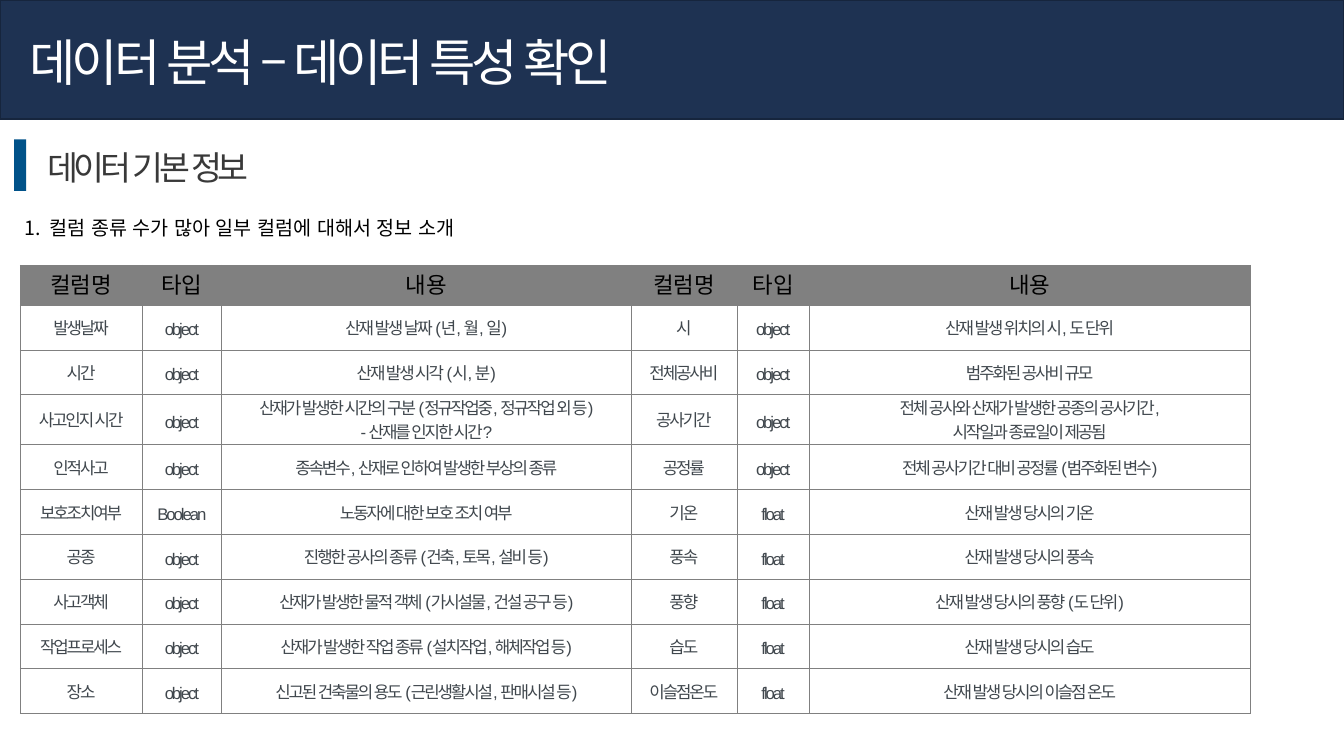
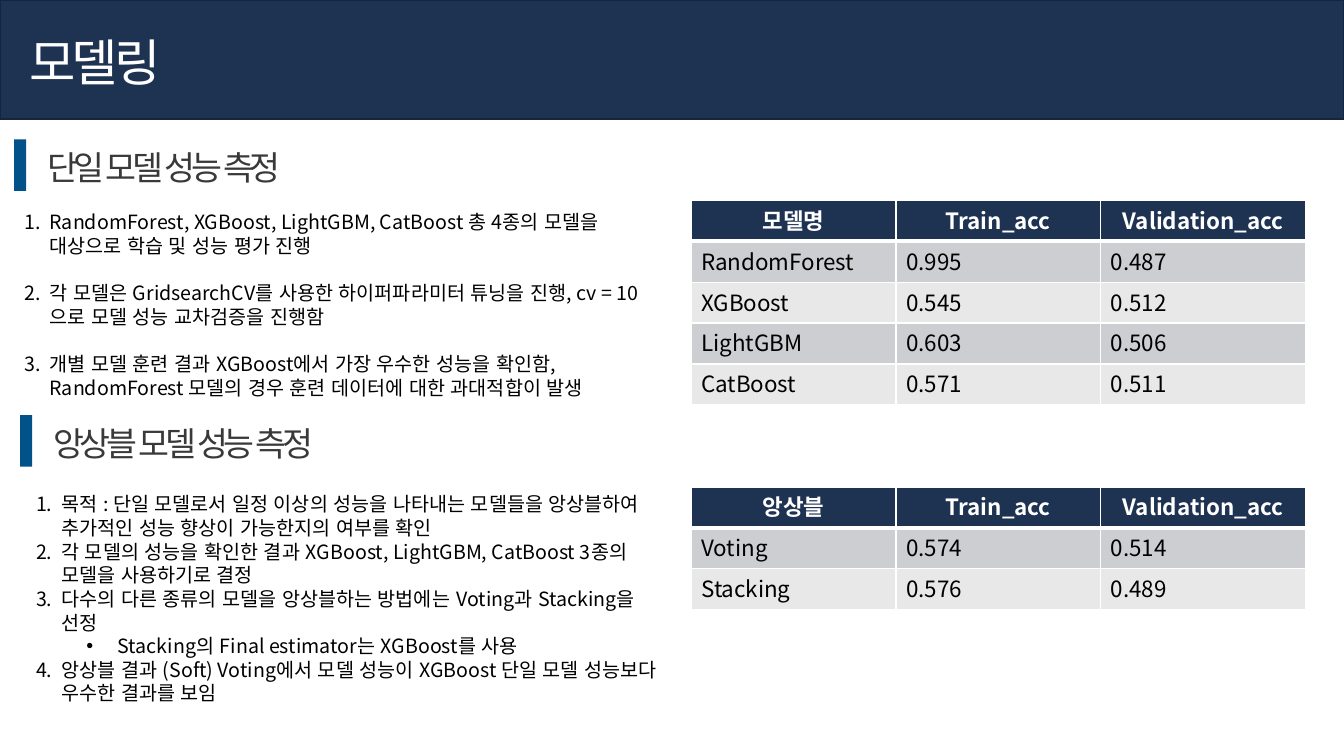
"""Build two slides on column information and model performance."""
from lxml import etree
from pptx import Presentation
from pptx.dml.color import RGBColor
from pptx.enum.lang import MSO_LANGUAGE_ID
from pptx.enum.shapes import MSO_SHAPE
from pptx.enum.text import MSO_ANCHOR, MSO_AUTO_SIZE, PP_ALIGN
from pptx.oxml.ns import qn
from pptx.util import Cm, Pt

RECTANGLE = MSO_SHAPE.RECTANGLE
TOP, MIDDLE = MSO_ANCHOR.TOP, MSO_ANCHOR.MIDDLE
LEFT, CENTER = PP_ALIGN.LEFT, PP_ALIGN.CENTER
NO_AUTOFIT = MSO_AUTO_SIZE.NONE
KOREAN = MSO_LANGUAGE_ID.KOREAN

NAVY, NAVY_EDGE, ACCENT = "1E3252", "16253D", "005289"
WHITE, BLACK, HEADING_GRAY = "FFFFFF", "000000", "393939"
TABLE_GRAY, CELL_TEXT = "808080", "40474D"
STRIPES = ["CDCED1", "E8E8E9"]
KOREAN_FONT, LATIN_FONT = "Noto Sans CJK KR", "Arial"

SLIDE_WIDTH, SLIDE_HEIGHT, BAND_HEIGHT = 33.87, 19.05, 3.0
COLUMN_WIDTHS = [3.07, 2.01, 10.31, 2.67, 1.83, 11.1]
HEADER_HEIGHT, ROW_HEIGHT, TWO_LINE_HEIGHT = 1.01, 1.13, 1.26
SCORE_COLUMN, SCORE_ROW, SCORE_LEFT = 5.16, 1.03, 17.42

COLUMN_ROWS = [
    ["컬럼명", "타입", "내용"] * 2,
    ["발생날짜", "object", "산재 발생 날짜 (년, 월, 일)",
     "시", "object", "산재 발생 위치의 시, 도 단위"],
    ["시간", "object", "산재 발생 시각 (시, 분)",
     "전체공사비", "object", "범주화된 공사비 규모"],
    ["사고인지 시간", "object",
     "산재가 발생한 시간의 구분 (정규작업중, 정규작업 외 등)\n- 산재를 인지한 시간?",
     "공사기간", "object",
     "전체 공사와 산재가 발생한 공종의 공사기간,\n시작일과 종료일이 제공됨"],
    ["인적사고", "object", "종속변수, 산재로 인하여 발생한 부상의 종류",
     "공정률", "object", "전체 공사기간 대비 공정률 (범주화된 변수)"],
    ["보호조치여부", "Boolean", "노동자에 대한 보호 조치 여부",
     "기온", "float", "산재 발생 당시의 기온"],
    ["공종", "object", "진행한 공사의 종류 (건축, 토목, 설비 등)",
     "풍속", "float", "산재 발생 당시의 풍속"],
    ["사고객체", "object", "산재가 발생한 물적 객체 (가시설물, 건설 공구 등)",
     "풍향", "float", "산재 발생 당시의 풍향 (도 단위)"],
    ["작업프로세스", "object", "산재가 발생한 작업 종류 (설치작업, 해체작업 등)",
     "습도", "float", "산재 발생 당시의 습도"],
    ["장소", "object", "신고된 건축물의 용도 (근린생활시설, 판매시설 등)",
     "이슬점온도", "float", "산재 발생 당시의 이슬점 온도"],
]
SCORE_HEADERS = ["Train_acc", "Validation_acc"]
SINGLE_ROWS = [
    ["모델명", *SCORE_HEADERS],
    ["RandomForest", "0.995", "0.487"],
    ["XGBoost", "0.545", "0.512"],
    ["LightGBM", "0.603", "0.506"],
    ["CatBoost", "0.571", "0.511"],
]
ENSEMBLE_ROWS = [
    ["앙상블", *SCORE_HEADERS],
    ["Voting", "0.574", "0.514"],
    ["Stacking", "0.576", "0.489"],
]
COLUMN_NOTES = [(0, "컬럼 종류 수가 많아 일부 컬럼에 대해서 정보 소개")]
SINGLE_NOTES = [
    (0, "RandomForest, XGBoost, LightGBM, CatBoost 총 4종의 모델을 대상으로 학습 및 성능 평가 진행"),
    (0, "각 모델은 GridsearchCV를 사용한 하이퍼파라미터 튜닝을 진행, cv = 10으로 모델 성능 교차검증을 진행함"),
    (0, "개별 모델 훈련 결과 XGBoost에서 가장 우수한 성능을 확인함, RandomForest 모델의 경우 훈련 데이터에 대한 과대적합이 발생"),
]
ENSEMBLE_NOTES = [
    (0, "목적 : 단일 모델로서 일정 이상의 성능을 나타내는 모델들을 앙상블하여 추가적인 성능 향상이 가능한지의 여부를 확인"),
    (0, "각 모델의 성능을 확인한 결과 XGBoost, LightGBM, CatBoost 3종의 모델을 사용하기로 결정"),
    (0, "다수의 다른 종류의 모델을 앙상블하는 방법에는 Voting과 Stacking을 선정"),
    (1, "Stacking의 Final estimator는 XGBoost를 사용"),
    (0, "앙상블 결과 (Soft) Voting에서 모델 성능이 XGBoost 단일 모델 성능보다 우수한 결과를 보임"),
]
LEVELS = [
    (0.64, -0.64, "buAutoNum", {"type": "arabicPeriod"}),
    (2.06, -0.79, "buChar", {"char": "•"}),
]


def color(value):
    return RGBColor.from_string(value)


def lengths(*values):
    return [Cm(value) for value in values]


def style_text(text_frame, size, text_color, line_height, font=KOREAN_FONT,
               spacing=0, bold=False, align=LEFT):
    for paragraph in text_frame.paragraphs:
        paragraph.alignment = align
        paragraph.line_spacing = Pt(line_height)
        for run in paragraph.runs:
            run.font.size, run.font.bold, run.font.name = Pt(size), bold, font
            run.font.color.rgb = color(text_color)
            run.font.language_id = KOREAN
            properties = run.font._element
            etree.SubElement(properties, qn("a:ea")).set("typeface", KOREAN_FONT)
            if spacing:
                properties.set("spc", str(round(spacing * 100)))


def prepare_frame(text_frame):
    text_frame.word_wrap = True
    text_frame.auto_size = NO_AUTOFIT
    text_frame.vertical_anchor = TOP
    text_frame.margin_left = text_frame.margin_right = Cm(0.25)
    text_frame.margin_top, text_frame.margin_bottom = Cm(0.13), 0


def add_bar(slide, box, fill, line=None):
    bar = slide.shapes.add_shape(RECTANGLE, *lengths(*box))
    bar.shadow.inherit = False
    bar.fill.solid()
    bar.fill.fore_color.rgb = color(fill)
    if line:
        bar.line.color.rgb = color(line)
        bar.line.width = Pt(1)
    else:
        bar.line.fill.background()
    return bar


def add_titled_slide(presentation, title_text, width):
    slide = presentation.slides.add_slide(presentation.slide_layouts[5])
    band = add_bar(slide, (0, 0, SLIDE_WIDTH, BAND_HEIGHT), NAVY, NAVY_EDGE)
    title = slide.shapes.title
    title._element.addprevious(band._element)
    title.left, title.top, title.width, title.height = lengths(0.5, 0.56, width, 1.8)
    title.text_frame.text = title_text
    prepare_frame(title.text_frame)
    style_text(title.text_frame, 36, WHITE, 45.7, spacing=-3)
    return slide


def add_text_box(slide, box):
    text_frame = slide.shapes.add_textbox(*lengths(*box)).text_frame
    prepare_frame(text_frame)
    return text_frame


def add_heading(slide, left, top, width, text):
    add_bar(slide, (left, top, 0.3, 1.3), ACCENT)
    text_frame = add_text_box(slide, (left + 0.58, top, width, 1.27))
    text_frame.text = text
    style_text(text_frame, 24, HEADING_GRAY, 30.5, spacing=-3)


def add_list(slide, box, items, gap=0):
    text_frame = add_text_box(slide, box)
    text_frame.text = "\n".join(text for _, text in items)
    for index, (paragraph, (level, _)) in enumerate(zip(text_frame.paragraphs, items)):
        margin, indent, tag, attributes = LEVELS[level]
        paragraph.level = level
        properties = paragraph._p.get_or_add_pPr()
        properties.set("marL", str(Cm(margin)))
        properties.set("indent", str(Cm(indent)))
        etree.SubElement(properties, qn("a:buFont")).set("typeface", LATIN_FONT)
        etree.SubElement(properties, qn(f"a:{tag}"), attributes)
        if index:
            paragraph.space_before = Pt(gap)
    style_text(text_frame, 14, BLACK, 16.9)


def set_borders(cell, border_color, width, bottom_width):
    properties = cell._tc.get_or_add_tcPr()
    sides = [("L", width), ("R", width), ("T", width), ("B", bottom_width)]
    for position, (side, points) in enumerate(sides):
        line = etree.Element(qn(f"a:ln{side}"), {"w": str(Pt(points))})
        fill = etree.SubElement(line, qn("a:solidFill"))
        etree.SubElement(fill, qn("a:srgbClr")).set("val", border_color)
        properties.insert(position, line)


def add_table(slide, left, top, rows, widths, heights, style_cell):
    box = lengths(left, top, sum(widths), sum(heights))
    table = slide.shapes.add_table(len(rows), len(widths), *box).table
    for column, width in zip(table.columns, widths):
        column.width = Cm(width)
    for row_index, (row, height) in enumerate(zip(rows, heights)):
        table.rows[row_index].height = Cm(height)
        for column_index, text in enumerate(row):
            cell = table.cell(row_index, column_index)
            cell.text_frame.text = text
            cell.fill.solid()
            style_cell(cell, row_index)


def style_column_cell(cell, row_index):
    cell.vertical_anchor = MIDDLE
    cell.margin_top = cell.margin_bottom = Cm(0.02)
    cell.fill.fore_color.rgb = color(WHITE if row_index else TABLE_GRAY)
    set_borders(cell, TABLE_GRAY, 0.5, 0.5)
    if row_index:
        style_text(cell.text_frame, 12, CELL_TEXT, 17, LATIN_FONT, -1.5, align=CENTER)
    else:
        style_text(cell.text_frame, 16, BLACK, 21.6, LATIN_FONT, align=CENTER)


def style_score_cell(cell, row_index):
    fill = STRIPES[(row_index - 1) % 2] if row_index else NAVY
    cell.fill.fore_color.rgb = color(fill)
    set_borders(cell, WHITE, 1, 1 if row_index else 3)
    if row_index:
        style_text(cell.text_frame, 16, BLACK, 21.6)
    else:
        style_text(cell.text_frame, 16, WHITE, 21.6, bold=True, align=CENTER)


def add_score_table(slide, top, rows):
    add_table(slide, SCORE_LEFT, top, rows, [SCORE_COLUMN] * 3,
              [SCORE_ROW] * len(rows), style_score_cell)


def build_column_slide(presentation):
    slide = add_titled_slide(presentation, "데이터 분석 – 데이터 특성 확인", 16.89)
    add_heading(slide, 0.36, 3.51, 6.15, "데이터 기본 정보")
    add_list(slide, (0.36, 5.31, 24.82, 0.86), COLUMN_NOTES)
    heights = [HEADER_HEIGHT] + [
        TWO_LINE_HEIGHT if "\n" in "".join(row) else ROW_HEIGHT
        for row in COLUMN_ROWS[1:]
    ]
    add_table(slide, 0.51, 6.68, COLUMN_ROWS, COLUMN_WIDTHS, heights, style_column_cell)


def build_model_slide(presentation):
    slide = add_titled_slide(presentation, "모델링", 4.04)
    add_heading(slide, 0.36, 3.51, 7.09, "단일 모델 성능 측정")
    add_list(slide, (0.36, 5.16, 16.36, 5.05), SINGLE_NOTES, gap=16.9)
    add_heading(slide, 0.51, 10.46, 7.82, "앙상블 모델 성능 측정")
    add_list(slide, (0.66, 12.27, 16.36, 5.64), ENSEMBLE_NOTES)
    add_score_table(slide, 5.05, SINGLE_ROWS)
    add_score_table(slide, 12.27, ENSEMBLE_ROWS)


def main():
    presentation = Presentation()
    presentation.slide_width, presentation.slide_height = lengths(SLIDE_WIDTH, SLIDE_HEIGHT)
    build_column_slide(presentation)
    build_model_slide(presentation)
    presentation.save("out.pptx")


if __name__ == "__main__":
    main()
